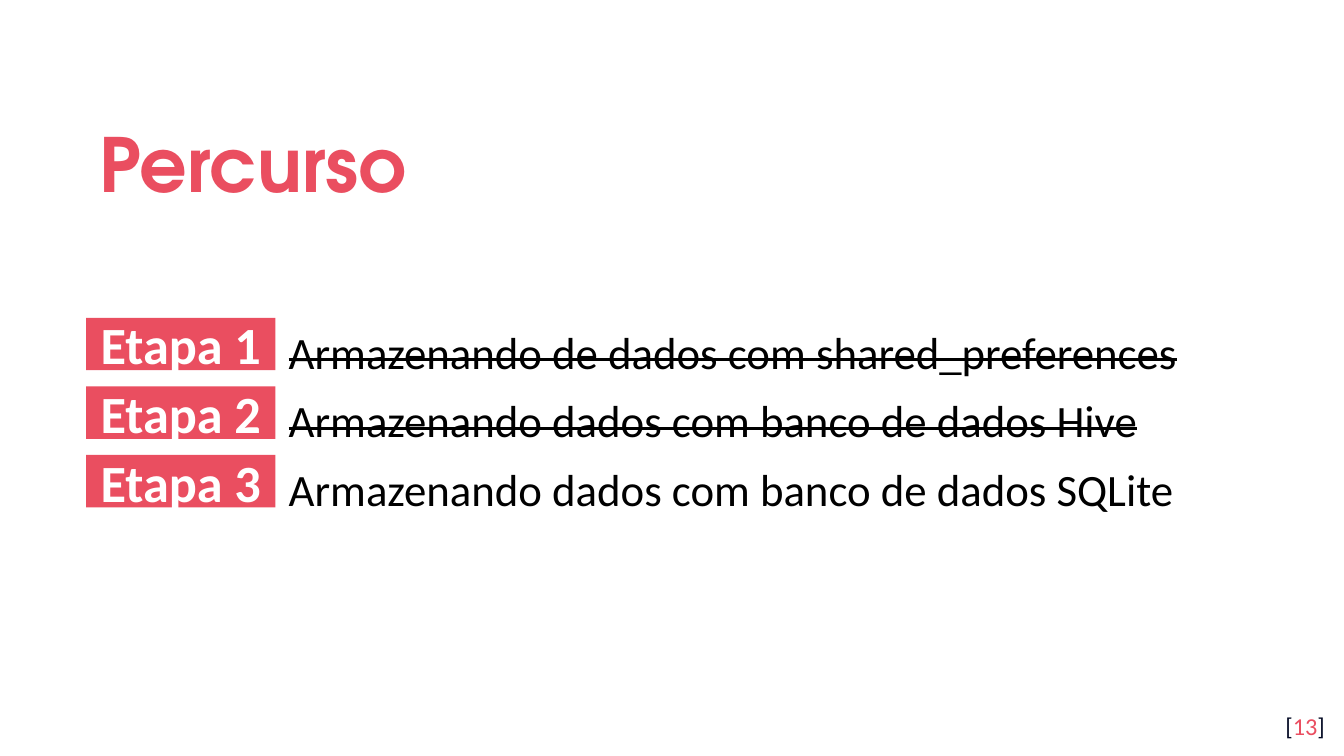
import dataclasses
import typing

import pptx
import pptx.dml.color
import pptx.enum.shapes
import pptx.enum.text
import pptx.util

PX = 4572  # EMU per px, 200 px to the inch
ALIGN = pptx.enum.text.PP_ALIGN
ANCHOR = pptx.enum.text.MSO_ANCHOR


@dataclasses.dataclass(frozen=True)
class Theme:
    accent: str = "EA4E60"
    dark: str = "040A24"
    black: str = "000000"
    white: str = "FFFFFF"
    head: str = "TeX Gyre Adventor"
    body: str = "Calibri"
    title: int = 40
    label: int = 28
    text: int = 24
    page: int = 13


class Box(typing.NamedTuple):
    left: int
    top: int
    width: int
    height: int


class Run(typing.NamedTuple):
    text: str
    color: str
    size: int
    face: str
    bold: bool = False
    strike: bool = False


class Step(typing.NamedTuple):
    label: str
    topic: str
    done: bool


THEME = Theme()
STEPS = [
    Step("Etapa 1", "Armazenando de dados com shared_preferences", True),
    Step("Etapa 2", "Armazenando dados com banco de dados Hive", True),
    Step("Etapa 3", "Armazenando dados com banco de dados SQLite", False),
]
WIDE, HIGH = 2000, 1125
LEFT, TOP, PITCH = 128, 473, 102
TAG_W, TAG_H = 282, 78
TOPIC_W, TOPIC_H = 1380, 82


def rgb(color: str) -> pptx.dml.color.RGBColor:
    return pptx.dml.color.RGBColor.from_string(color)


def write(shape, runs: list[Run], align=ALIGN.LEFT, anchor=ANCHOR.TOP,
          pad: int = 20, lines: float = 1.0) -> None:
    """Fill a shape with one paragraph of runs."""
    frame = shape.text_frame
    form = {
        "word_wrap": True, "vertical_anchor": anchor,
        "margin_left": 20 * PX, "margin_right": 20 * PX,
        "margin_top": pad * PX, "margin_bottom": pad * PX,
    }
    for key, value in form.items():
        setattr(frame, key, value)
    para = frame.paragraphs[0]
    para.alignment = align
    para.line_spacing = lines
    for item in runs:
        run = para.add_run()
        run.text = item.text
        style = {"name": item.face, "size": pptx.util.Pt(item.size),
                 "bold": item.bold}
        for key, value in style.items():
            setattr(run.font, key, value)
        run.font.color.rgb = rgb(item.color)
        if item.strike:
            run.font._element.set("strike", "sngStrike")


def add_text(slide, box: Box, runs: list[Run], **form) -> None:
    area = slide.shapes.add_textbox(*(n * PX for n in box))
    write(area, runs, **form)


def add_tag(slide, box: Box, label: str) -> None:
    kind = pptx.enum.shapes.MSO_SHAPE.RECTANGLE
    tag = slide.shapes.add_shape(kind, *(n * PX for n in box))
    tag.shadow.inherit = False
    tag.fill.solid()
    tag.fill.fore_color.rgb = rgb(THEME.accent)
    tag.line.fill.background()
    run = Run(label, THEME.white, THEME.label, THEME.body, bold=True)
    write(tag, [run], align=ALIGN.CENTER, anchor=ANCHOR.MIDDLE)


def add_step(slide, step: Step, top: int) -> None:
    add_tag(slide, Box(LEFT, top, TAG_W, TAG_H), step.label)
    run = Run(step.topic, THEME.black, THEME.text, THEME.body,
              strike=step.done)
    add_text(slide, Box(LEFT + TAG_W, top, TOPIC_W, TOPIC_H), [run], pad=10)


def main() -> None:
    deck = pptx.Presentation()
    deck.slide_width, deck.slide_height = WIDE * PX, HIGH * PX
    slide = deck.slides.add_slide(deck.slide_layouts[6])

    # Title
    title = Run("Percurso", THEME.accent, THEME.title, THEME.head, bold=True)
    add_text(slide, Box(LEFT, 140, 1620, 184), [title],
             anchor=ANCHOR.MIDDLE, lines=1.15)

    # Page number
    parts = [("[", THEME.dark), ("13", THEME.accent), ("]", THEME.dark)]
    page = [Run(text, color, THEME.page, THEME.body) for text, color in parts]
    add_text(slide, Box(1871, 1039, 120, 86), page, align=ALIGN.RIGHT)

    # Steps
    for row, step in enumerate(STEPS):
        add_step(slide, step, TOP + row * PITCH)

    deck.save("out.pptx")


if __name__ == "__main__":
    main()
